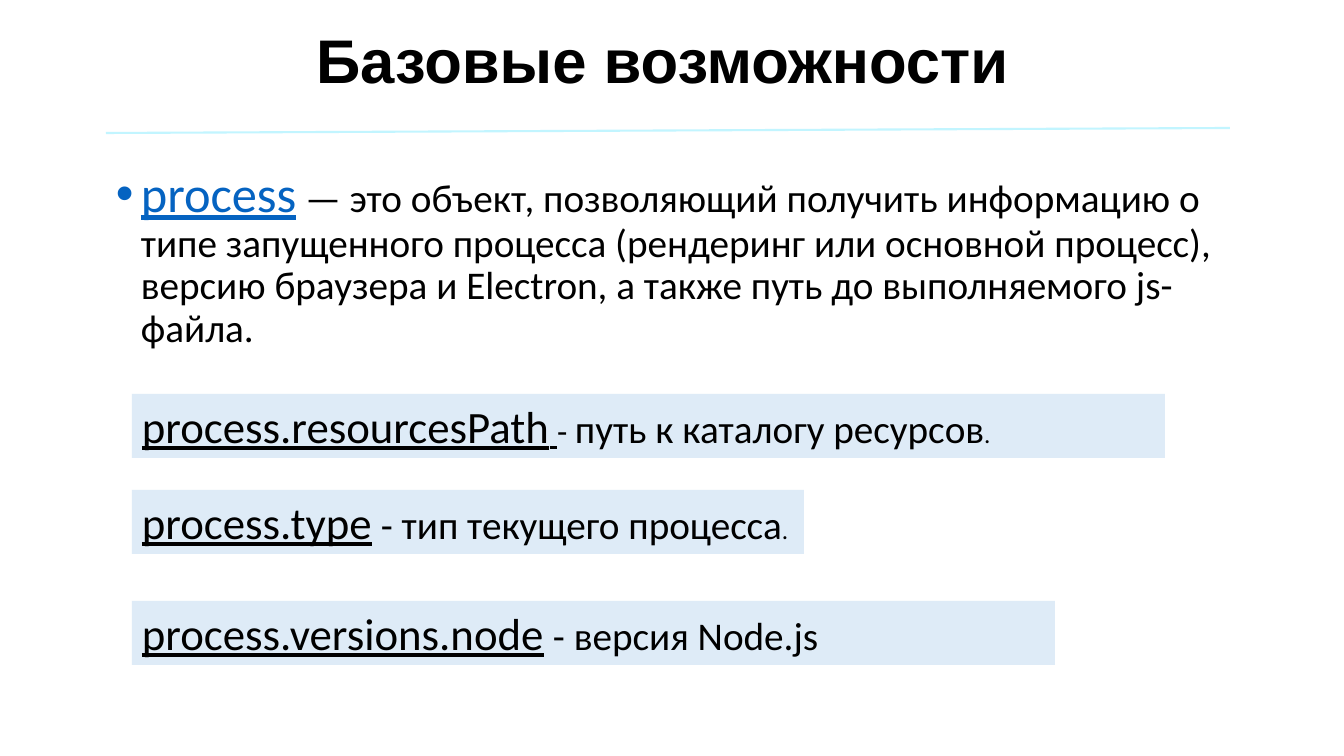
from lxml import etree
from pptx import Presentation
from pptx.dml.color import RGBColor
from pptx.enum.shapes import MSO_CONNECTOR as LINE, MSO_SHAPE as SHAPE
from pptx.enum.text import MSO_ANCHOR as ANCHOR, MSO_AUTO_SIZE as FIT, PP_ALIGN as ALIGN
from pptx.oxml.ns import qn
from pptx.util import Emu, Pt

# Content: runs are (text, size, format)
BLACK, BLUE, PALE, CYAN = "000000", "0563C1", "DEEBF7", "C2F5FF"
LINK = {"underline": True}
TITLE = [("Базовые возможности", 44, {"name": "Arial", "bold": True})]
BODY = [
    ("process", 36, {"underline": True, "color": BLUE}),
    (" — это объект, позволяющий получить информацию о типе запущенного "
     "процесса (рендеринг или основной процесс), версию браузера и Electron, "
     "а также путь до выполняемого js-файла.", 28, {}),
]
# Bars: top, width, runs
BARS = [
    (394, 1033, [("process.resourcesPath", 32, LINK), (" ", 24, LINK), ("- ", 24, {}),
                 ("путь к каталогу ресурсов", 28, {}), (".", 18, {})]),
    (490, 672, [("process.type", 32, LINK), (" - тип текущего процесса", 28, {}),
                (".", 18, {})]),
    (601, 923, [("process.versions.node", 32, LINK), (" - версия Node.js", 28, {})]),
]
BAR_X, BAR_H = 132, 64
INDENT = 25


def px(n):
    return Emu(round(n * 914400 / 100.8))


def rgb(code):
    return RGBColor.from_string(code)


def write(para, runs):
    for text, size, form in runs:
        run = para.add_run()
        run.text = text
        look = {"name": "Calibri", "size": Pt(size), "color": BLACK, **form}
        run.font.color.rgb = rgb(look.pop("color"))
        for key, val in look.items():
            setattr(run.font, key, val)


def box(x, y, w, h, runs, anchor, align):
    frame = slide.shapes.add_textbox(*map(px, (x, y, w, h))).text_frame
    frame.word_wrap = True
    frame.vertical_anchor = anchor
    para = frame.paragraphs[0]
    para.alignment = align
    para.line_spacing = 0.9
    write(para, runs)
    return para


deck = Presentation()
deck.slide_width, deck.slide_height = px(1344), px(756)
slide = deck.slides.add_slide(deck.slide_layouts[6])

# Title and bulleted text
box(83, -9, 1159, 146, TITLE, ANCHOR.MIDDLE, ALIGN.CENTER)
para = box(106, 164, 1159, 480, BODY, ANCHOR.TOP, ALIGN.LEFT)
props = para._p.get_or_add_pPr()
props.set("marL", str(px(INDENT)))
props.set("indent", str(-px(INDENT)))
etree.SubElement(props, qn("a:buFont")).set("typeface", "Arial")
etree.SubElement(props, qn("a:buChar")).set("char", "•")

# Rule under the title
rule = slide.shapes.add_connector(LINE.STRAIGHT, *map(px, (106, 133, 1230, 128)))
rule.line.color.rgb = rgb(CYAN)
rule.line.width = Pt(1.5)
etree.SubElement(rule._element.spPr, qn("a:effectLst"))

# Property bars
for top, width, runs in BARS:
    bar = slide.shapes.add_shape(SHAPE.RECTANGLE, *map(px, (BAR_X, top, width, BAR_H)))
    bar.shadow.inherit = False
    bar.fill.solid()
    bar.fill.fore_color.rgb = rgb(PALE)
    bar.line.fill.background()
    frame = bar.text_frame
    frame.word_wrap = True
    frame.auto_size = FIT.SHAPE_TO_FIT_TEXT
    frame.vertical_anchor = ANCHOR.TOP
    frame.paragraphs[0].alignment = ALIGN.LEFT
    write(frame.paragraphs[0], runs)

deck.save("out.pptx")
